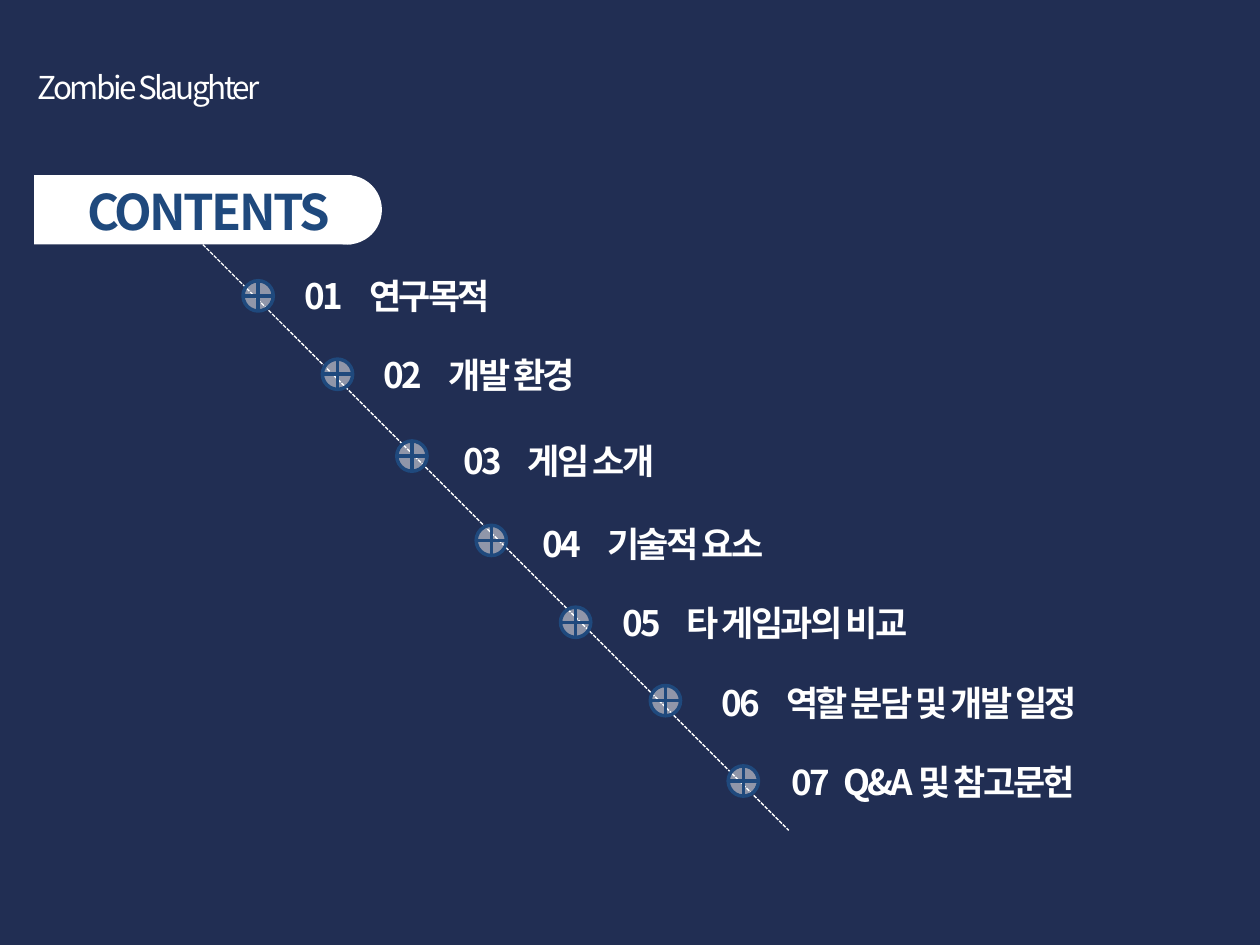
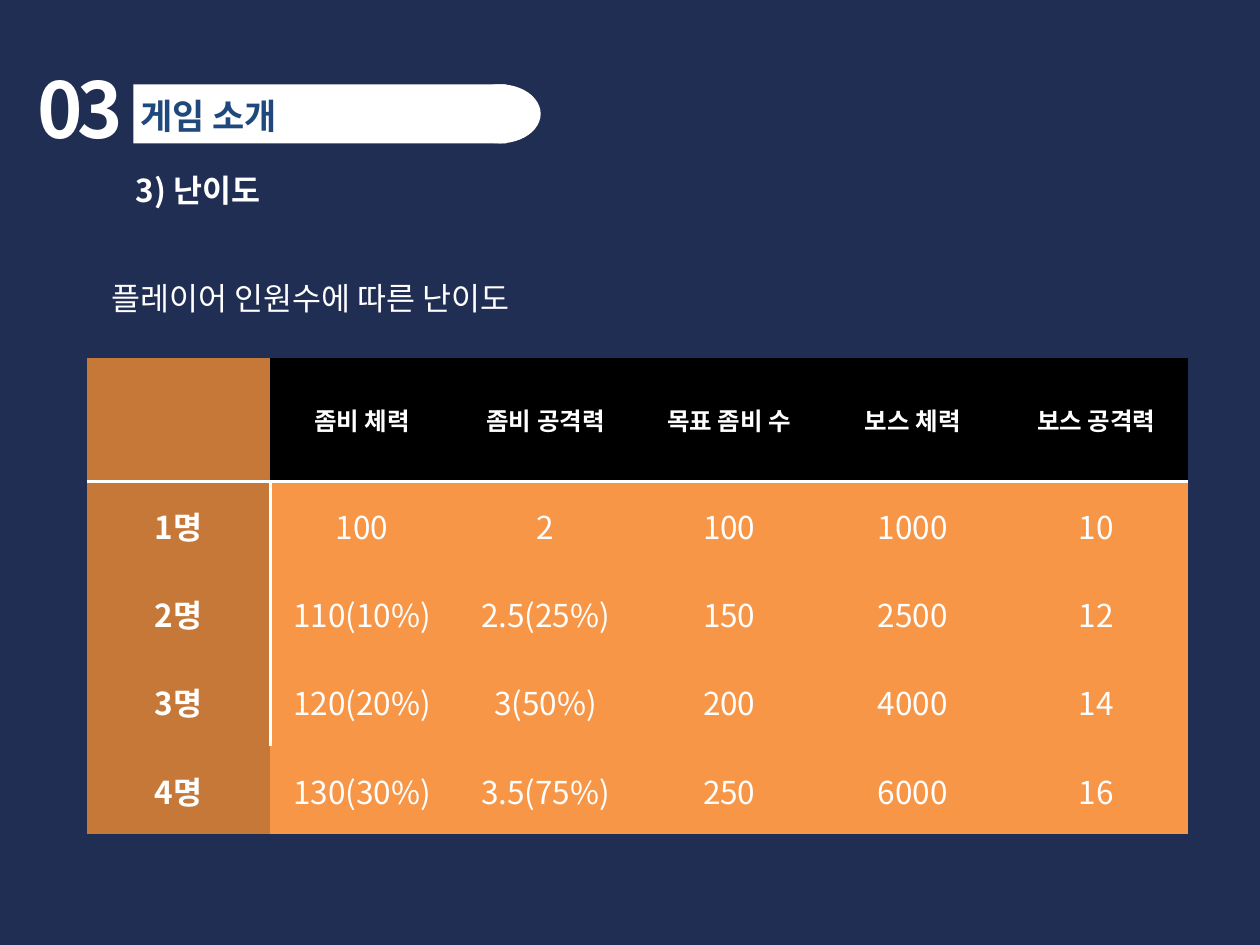
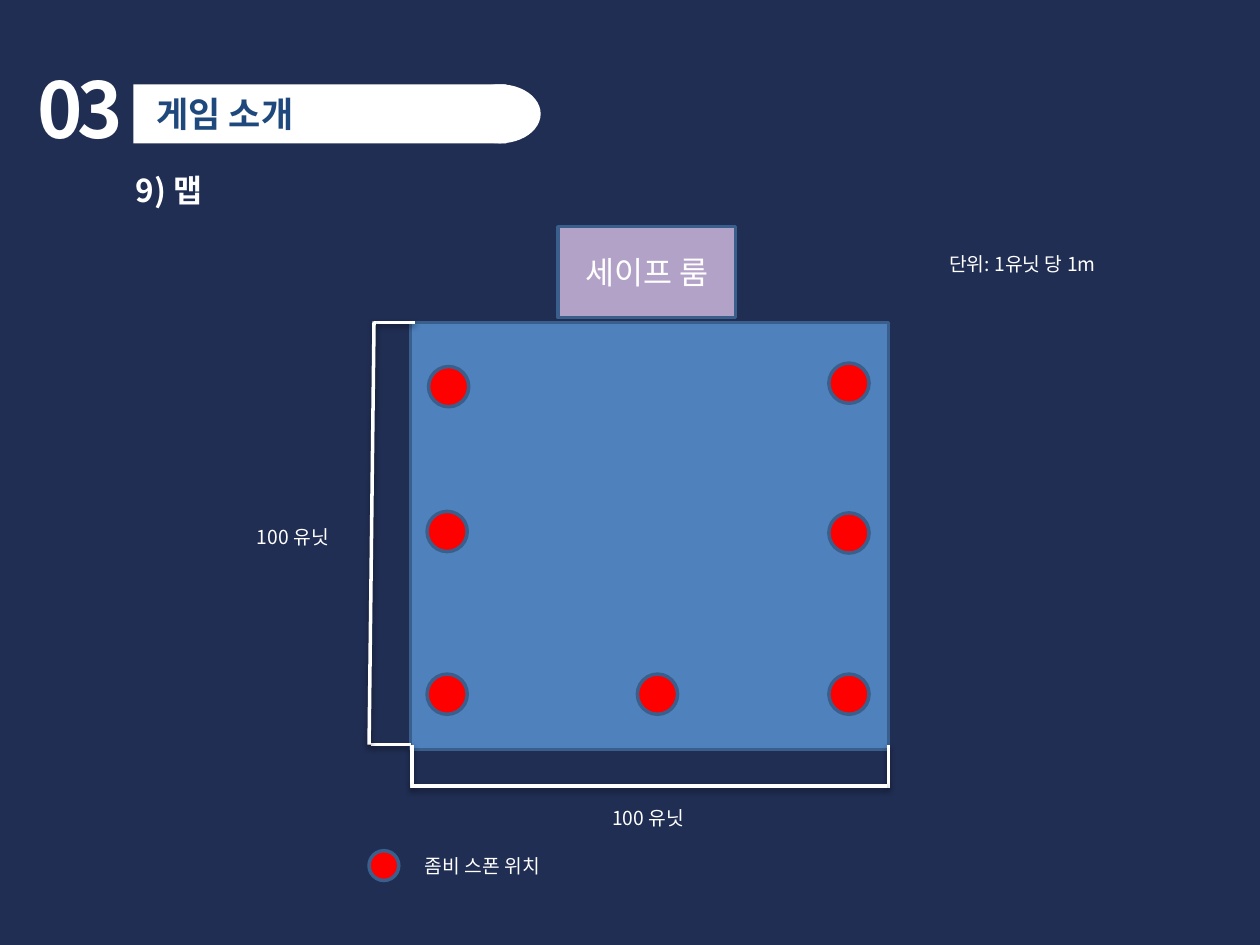
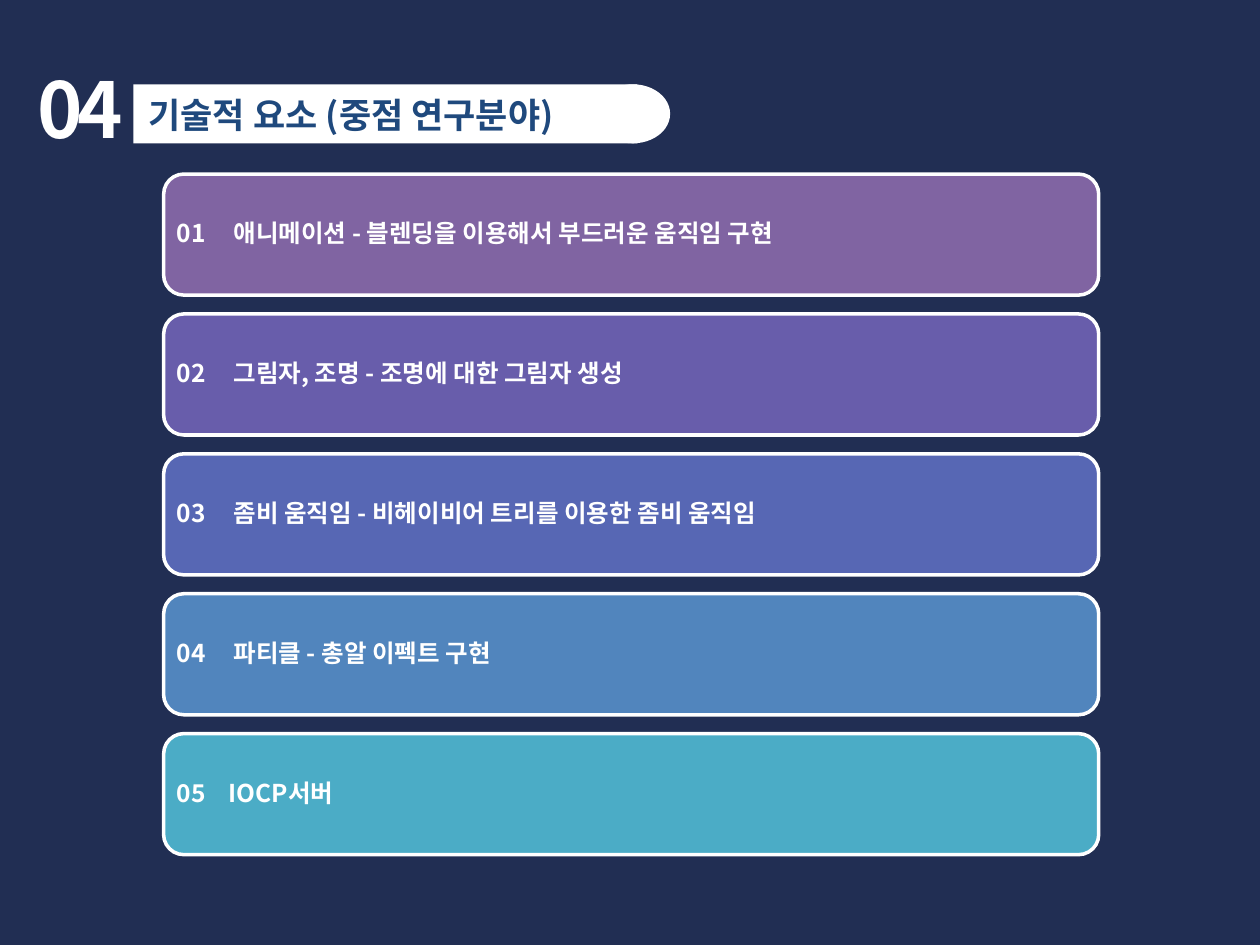
from lxml.etree import SubElement
from pptx import Presentation
from pptx.dml.color import RGBColor
from pptx.enum.dml import MSO_LINE
from pptx.enum.shapes import MSO_CONNECTOR, MSO_SHAPE
from pptx.enum.text import MSO_ANCHOR, MSO_AUTO_SIZE, PP_ALIGN
from pptx.oxml.ns import qn
from pptx.util import Cm, Pt

FONT = "Noto Sans CJK KR"
NAVY = RGBColor(0x21, 0x2E, 0x53)
WHITE = RGBColor(0xFF, 0xFF, 0xFF)
BLACK = RGBColor(0, 0, 0)
BLUE = RGBColor(0x1F, 0x49, 0x7D)
OUTLINE = RGBColor(0x3A, 0x5F, 0x8C)
MAP_BLUE = RGBColor(0x4F, 0x81, 0xBD)
LILAC = RGBColor(0xB3, 0xA2, 0xC7)
RED = RGBColor(0xFF, 0, 0)
ORANGE = RGBColor(0xF7, 0x96, 0x46)
DARK_ORANGE = RGBColor(0xC6, 0x78, 0x38)
CARD_COLORS = [
    RGBColor(0x80, 0x64, 0xA2),
    RGBColor(0x68, 0x5D, 0xAB),
    RGBColor(0x57, 0x67, 0xB4),
    RGBColor(0x51, 0x85, 0xBD),
    RGBColor(0x4B, 0xAC, 0xC6),
]
NO_STYLE_TABLE = "{2D5ABB26-0587-4C30-8999-92F81FD0307C}"

CONTENTS = [
    ("01\t연구목적", (4.9, 5.66), (5.89, 5.41), 1.3),
    ("02\t개발 환경", (6.5, 7.24), (7.49, 7.01), 1.3),
    ("03\t게임 소개", (8, 8.89), (9.09, 8.74), 1.3),
    ("04\t기술적 요소", (9.6, 10.59), (10.69, 10.41), 1.3),
    ("05\t타 게임과의 비교", (11.3, 12.24), (12.29, 12.01), 1.3),
    ("06\t역할 분담 및 개발 일정", (13.11, 13.82), (14.3, 13.61), 1.3),
    ("07\tQ&A 및 참고문헌", (14.68, 15.44), (15.7, 15.21), 1.05),
]
DIFFICULTY = [
    ["", "좀비 체력", "좀비 공격력", "목표 좀비 수", "보스 체력", "보스 공격력"],
    ["1명", "100", "2", "100", "1000", "10"],
    ["2명", "110(10%)", "2.5(25%)", "150", "2500", "12"],
    ["3명", "120(20%)", "3(50%)", "200", "4000", "14"],
    ["4명", "130(30%)", "3.5(75%)", "250", "6000", "16"],
]
SPAWNS = [
    (8.64, 7.39), (8.61, 10.31), (16.71, 10.34), (16.71, 7.32),
    (16.71, 13.59), (8.61, 13.59), (12.85, 13.59),
]
DIMENSION_LINES = [
    (8.36, 6.5, 7.54, 6.5),
    (8.28, 15.01, 7.47, 15.01),
    (7.54, 6.48, 7.44, 15.01),
    (8.31, 15.01, 8.31, 15.88),
    (17.91, 15.01, 17.91, 15.88),
    (17.88, 15.85, 8.28, 15.85),
]
TECH_ITEMS = [
    ("01\t애니메이션 - 블렌딩을 이용해서 부드러운 움직임 구현", 1.14),
    ("02\t그림자, 조명 - 조명에 대한 그림자 생성", 1.14),
    ("03\t좀비 움직임 - 비헤이비어 트리를 이용한 좀비 움직임", 1.14),
    ("04\t파티클 - 총알 이펙트 구현", 1.14),
    ("05\tIOCP서버", 1.04),
]


def write(tf, text, size=18, bold=False, color=WHITE, align=PP_ALIGN.LEFT,
          anchor=MSO_ANCHOR.TOP, spacing=0, tab=None, line_spacing=None):
    tf.word_wrap = True
    tf.vertical_anchor = anchor
    p = tf.paragraphs[0]
    p.alignment = align
    if line_spacing:
        p.line_spacing = line_spacing
    if tab:
        tabs = SubElement(p._p.get_or_add_pPr(), qn("a:tabLst"))
        SubElement(tabs, qn("a:tab"), pos=str(Cm(tab)), algn="l")
    r = p.add_run()
    r.text = text
    r.font.name = FONT
    r.font.size = Pt(size)
    r.font.bold = bold
    r.font.color.rgb = color
    rPr = r.font._element
    SubElement(rPr, qn("a:ea"), typeface=FONT)
    if spacing:
        rPr.set("spc", str(int(spacing * 100)))


def add_text(s, text, x, y, w, h, **fmt):
    tb = s.shapes.add_textbox(Cm(x), Cm(y), Cm(w), Cm(h))
    write(tb.text_frame, text, **fmt)


def add_box(shapes, kind, x, y, w, h, fill, line=None, alpha=None):
    sp = shapes.add_shape(kind, Cm(x), Cm(y), Cm(w), Cm(h))
    sp.shadow.inherit = False
    sp.fill.solid()
    sp.fill.fore_color.rgb = fill
    if alpha:
        color = sp.element.find(".//" + qn("a:solidFill"))[0]
        SubElement(color, qn("a:alpha"), val=str(alpha * 1000))
    if line is None:
        sp.line.fill.background()
    else:
        sp.line.color.rgb = line
        sp.line.width = Pt(2)
    return sp


def add_line(s, x1, y1, x2, y2, width=2, dash=None, shadow=False):
    c = s.shapes.add_connector(MSO_CONNECTOR.STRAIGHT, Cm(x1), Cm(y1), Cm(x2), Cm(y2))
    c.line.color.rgb = WHITE
    c.line.width = Pt(width)
    if dash:
        c.line.dash_style = dash
    effects = SubElement(c.element.spPr, qn("a:effectLst"))
    if shadow:
        outer = SubElement(effects, qn("a:outerShdw"), blurRad="40000", dist="20000",
                           dir="5400000", rotWithShape="0")
        color = SubElement(outer, qn("a:srgbClr"), val="000000")
        SubElement(color, qn("a:alpha"), val="38000")


def add_band(s, x, y, w, h, cap_x, cap_w):
    shapes = s.shapes.add_group_shape().shapes
    add_box(shapes, MSO_SHAPE.RECTANGLE, x, y, w, h, WHITE)
    add_box(shapes, MSO_SHAPE.OVAL, cap_x, y, cap_w, h, WHITE)


def set_title(s, text, x, y, w, h, **fmt):
    title = s.shapes.title
    title.element.getparent().append(title.element)
    title.left, title.top, title.width, title.height = Cm(x), Cm(y), Cm(w), Cm(h)
    title.text_frame.auto_size = MSO_AUTO_SIZE.NONE
    write(title.text_frame, text, bold=True, color=BLUE, **fmt)


def add_section_header(s, number, title, x, y, band_w=7.52, cap_x=9.25, cap_w=1.65):
    add_text(s, number, 0.51, 1.12, 2.79, 2.13, size=44, bold=True, spacing=-3)
    add_band(s, 2.69, 1.7, band_w, 1.19, cap_x, cap_w)
    set_title(s, title, x, y, band_w - 0.1, 1.12, size=20)


def add_border(cell, side):
    tcPr = cell._tc.get_or_add_tcPr()
    ln = tcPr.makeelement(qn("a:" + side), {"w": str(Pt(2))})
    fill = SubElement(ln, qn("a:solidFill"))
    SubElement(fill, qn("a:srgbClr"), val=str(WHITE))
    tcPr.insert(0, ln)


def add_difficulty_table(s, x, y, col_w, head_h, row_h):
    rows, cols = len(DIFFICULTY), len(DIFFICULTY[0])
    gf = s.shapes.add_table(rows, cols, Cm(x), Cm(y), Cm(col_w * cols),
                            Cm(head_h + row_h * (rows - 1)))
    next(gf.element.iter(qn("a:tableStyleId"))).text = NO_STYLE_TABLE
    table = gf.table
    for col in table.columns:
        col.width = Cm(col_w)
    for i, values in enumerate(DIFFICULTY):
        table.rows[i].height = Cm(row_h if i else head_h)
        for j, value in enumerate(values):
            cell = table.cell(i, j)
            cell.fill.solid()
            cell.fill.fore_color.rgb = DARK_ORANGE if j == 0 else ORANGE if i else BLACK
            cell.vertical_anchor = MSO_ANCHOR.MIDDLE
            if value:
                write_cell(cell, value, size=18 if i else 14, bold=i == 0 or j == 0)
            if i == 0:
                add_border(cell, "lnB")
            elif j == 0 and i < rows - 1:
                add_border(cell, "lnR")


def write_cell(cell, text, **fmt):
    write(cell.text_frame, text, align=PP_ALIGN.CENTER, **fmt)


def build_contents(s):
    add_text(s, "Zombie Slaughter", 0.51, 1.24, 17.2, 1.02, spacing=-1.5)
    add_band(s, 0.69, 3.53, 6.4, 1.4, 6.3, 1.4)
    set_title(s, "CONTENTS", 1.5, 3.53, 6.4, 1.45, size=28, spacing=-1.5)
    add_line(s, 4.09, 4.93, 15.9, 16.74, width=0.75, dash=MSO_LINE.SQUARE_DOT)
    for text, marker, label, tab in CONTENTS:
        add_box(s.shapes, MSO_SHAPE.FLOWCHART_OR, *marker, 0.61, 0.61, WHITE, BLUE, alpha=50)
        add_text(s, text, *label, 10.4, 1.12, size=20, bold=True, spacing=-1.5, tab=tab)


def build_difficulty(s):
    add_section_header(s, "03", "게임 소개", 2.57, 1.78)
    add_text(s, "3) 난이도", 2.49, 3.33, 3.4, 1.02, bold=True)
    add_text(s, "플레이어 인원수에 따른 난이도", 0, 5.56, 12.52, 0.89,
             align=PP_ALIGN.CENTER, anchor=MSO_ANCHOR.MIDDLE)
    add_difficulty_table(s, 1.75, 7.21, 3.7, 2.49, 1.78)


def build_map(s):
    add_section_header(s, "03", "게임 소개", 2.9, 1.73)
    add_text(s, "9) 맵", 2.49, 3.33, 1.85, 1.02, bold=True)
    add_box(s.shapes, MSO_SHAPE.RECTANGLE, 8.28, 6.5, 9.63, 8.61, MAP_BLUE, OUTLINE)
    room = add_box(s.shapes, MSO_SHAPE.RECTANGLE, 11.25, 4.57, 3.58, 1.83, LILAC, OUTLINE)
    middle = {"align": PP_ALIGN.CENTER, "anchor": MSO_ANCHOR.MIDDLE}
    write(room.text_frame, "세이프 룸", **middle)
    for x, y in SPAWNS:
        add_box(s.shapes, MSO_SHAPE.OVAL, x, y, 0.81, 0.81, RED, OUTLINE)
    add_box(s.shapes, MSO_SHAPE.OVAL, 7.44, 17.15, 0.6, 0.6, RED, OUTLINE)
    add_text(s, "좀비 스폰 위치", 8.31, 17.02, 4.19, 0.86, size=11, anchor=MSO_ANCHOR.MIDDLE)
    for ends in DIMENSION_LINES:
        add_line(s, *ends, shadow=True)
    add_text(s, "단위: 1유닛 당 1m", 18.03, 4.93, 5.16, 0.76, size=11, **middle)
    for x, y in [(4.65, 9.98), (11.81, 15.65)]:
        add_text(s, "100 유닛", x, y, 2.51, 1.68, size=11, **middle)


def build_tech(s):
    add_section_header(s, "04", "기술적 요소 (중점 연구분야)", 2.74, 1.75,
                       band_w=10.16, cap_x=12.01, cap_w=1.5)
    for i, ((text, tab), color) in enumerate(zip(TECH_ITEMS, CARD_COLORS)):
        card = add_box(s.shapes, MSO_SHAPE.ROUNDED_RECTANGLE, 3.3, 3.51 + 2.82 * i,
                       18.85, 2.44, color, WHITE)
        tf = card.text_frame
        tf.margin_left = tf.margin_right = tf.margin_top = tf.margin_bottom = Cm(0.15)
        write(tf, text, size=14, bold=True, anchor=MSO_ANCHOR.MIDDLE, tab=tab,
              line_spacing=0.9)


def main():
    prs = Presentation()
    prs.slide_width, prs.slide_height = Cm(25.4), Cm(19.05)
    fill = prs.slide_master.background.fill
    fill.solid()
    fill.fore_color.rgb = NAVY
    title_only = prs.slide_layouts.get_by_name("Title Only")
    for build in (build_contents, build_difficulty, build_map, build_tech):
        build(prs.slides.add_slide(title_only))
    prs.save("out.pptx")


if __name__ == "__main__":
    main()
